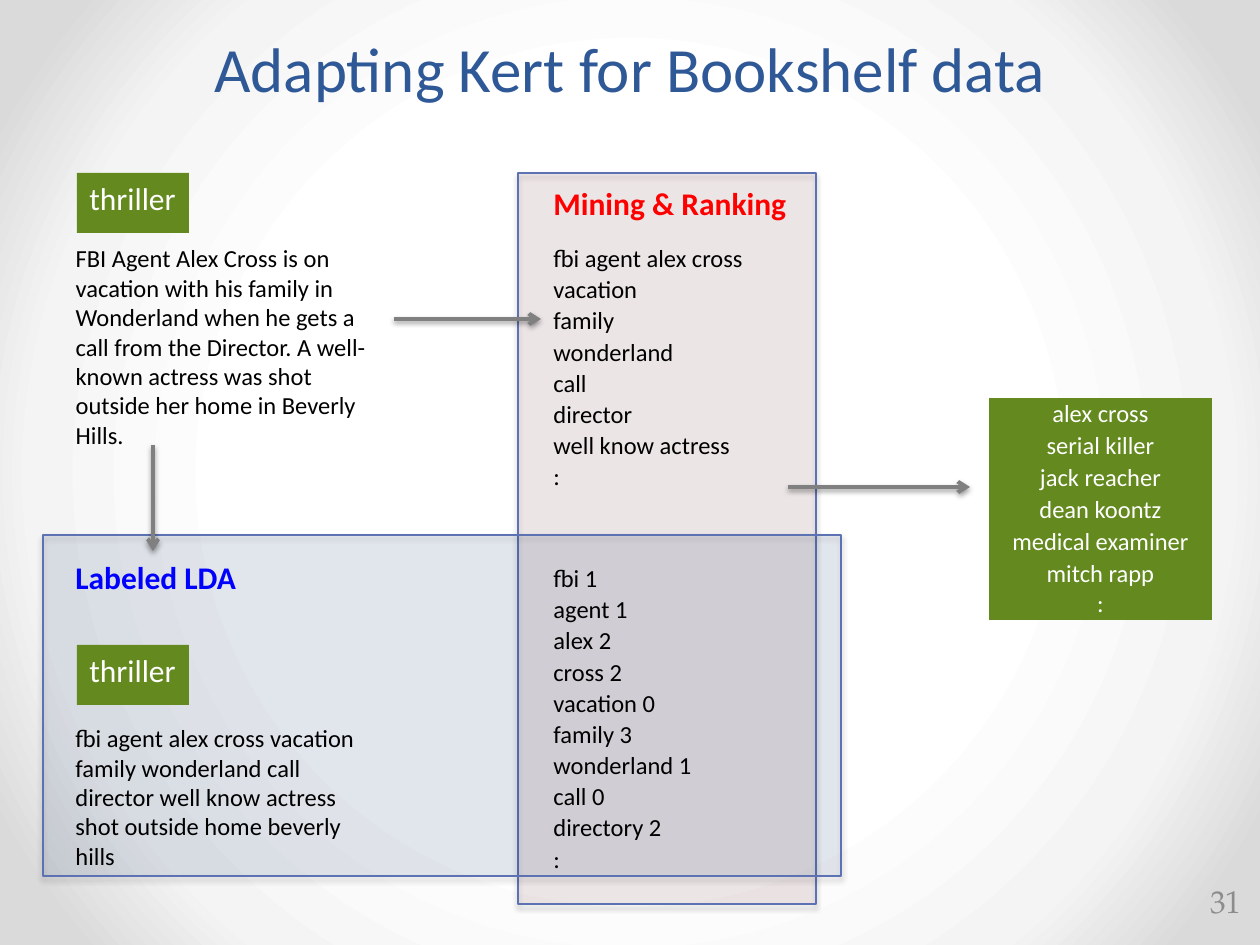
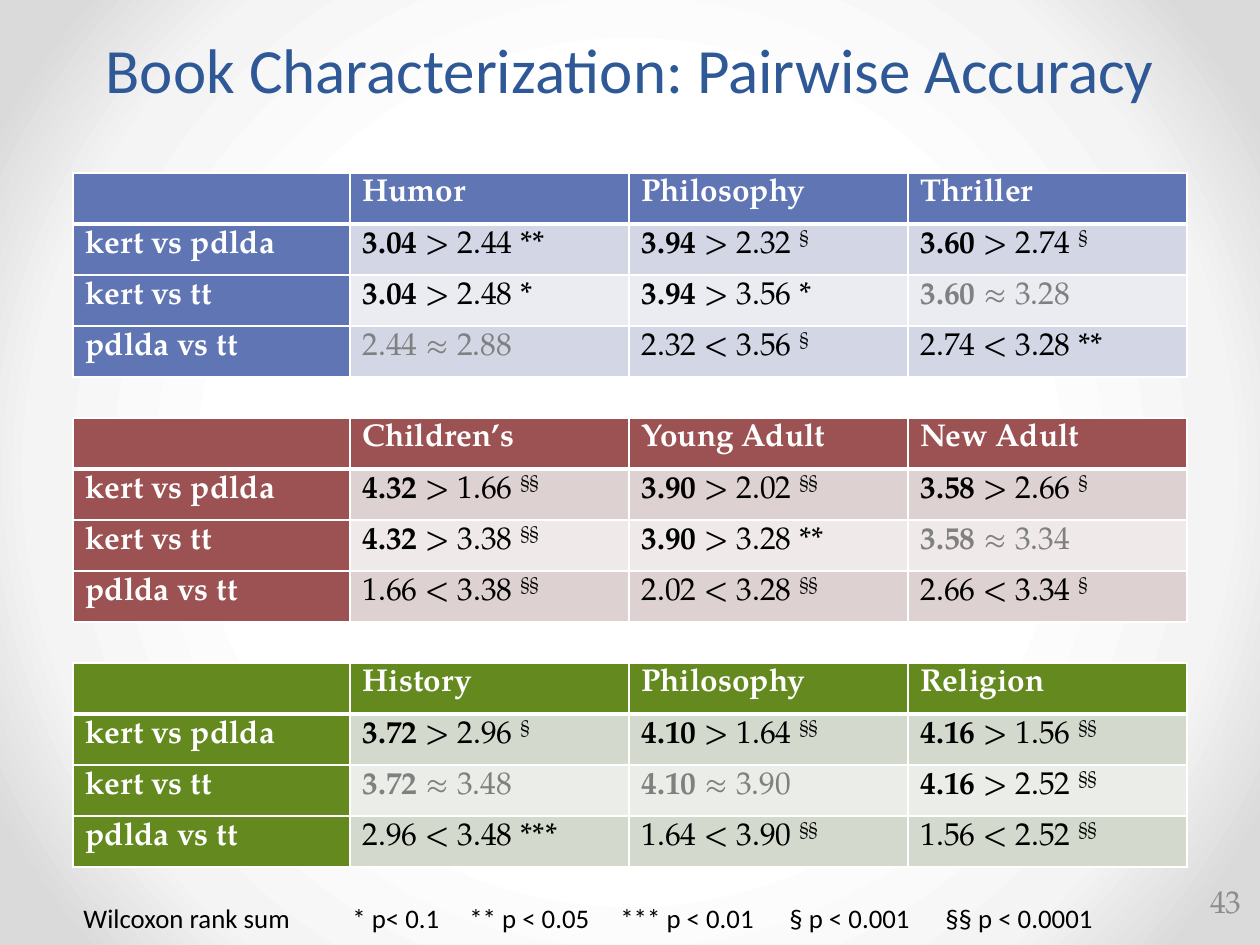
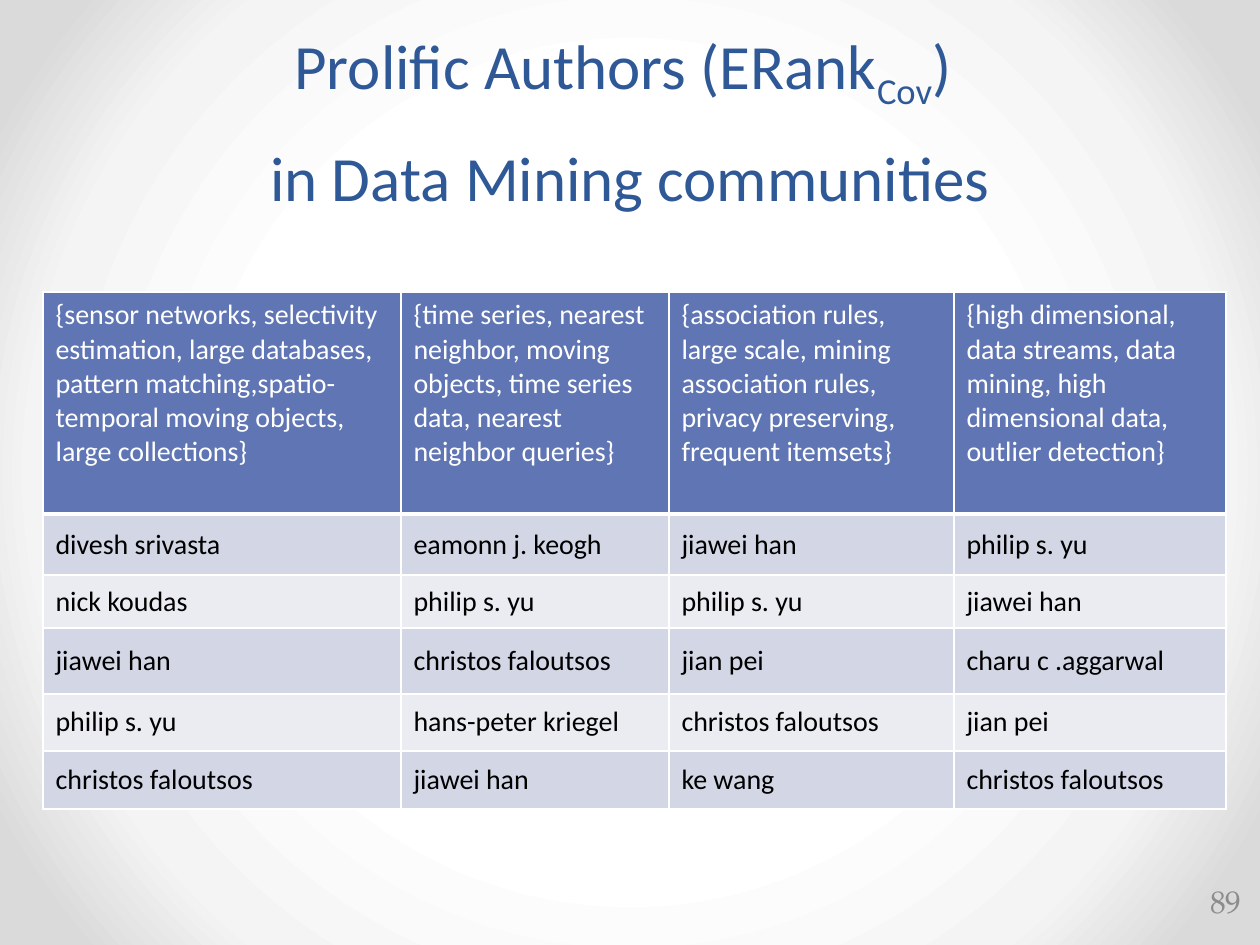
from pptx import Presentation
from pptx.dml.color import RGBColor
from pptx.enum.shapes import MSO_CONNECTOR, MSO_SHAPE
from pptx.enum.text import MSO_ANCHOR as ANCHOR, MSO_AUTO_SIZE, PP_ALIGN as ALIGN
from pptx.oxml import parse_xml
from pptx.oxml.ns import nsdecls, qn
from pptx.util import Pt

PX = 914400 / 126
SANS, SERIF = "Calibri", "TeX Gyre Pagella"
NO_STYLE = "{2D5ABB26-0587-4C30-8999-92F81FD0307C}"
COLORS = {
    "title": "2F5897", "black": "000000", "white": "FFFFFF", "number": "8C8C8C",
    "gray": "808080", "edge": "5C72B2", "red": "FF0000", "label": "0000FF",
    "blue": "6076B4", "blue_dark": "D2D6E5", "blue_light": "EAECF2",
    "maroon": "9C5252", "maroon_dark": "DED1D1", "maroon_light": "EFE9E9",
    "green": "63891F", "green_dark": "D3DACD", "green_light": "EAEDE8",
}
BACKDROP = [(50, "FFFFFF"), (76, "F4F4F4"), (92, "DADADA")]

# Slide 1
BLURB = ("FBI Agent Alex Cross is on vacation with his family in Wonderland when he gets "
         "a call from the Director. A well-known actress was shot outside her home in "
         "Beverly Hills.")
WORDS = ("fbi agent alex cross vacation family wonderland call director well know actress "
         "shot outside home beverly hills")
PHRASES = ["fbi agent alex cross", "vacation", "family", "wonderland", "call", "director",
           "well know actress", ":"]
TOPICS = ["fbi 1", "agent 1", "alex 2", "cross 2", "vacation 0", "family 3",
          "wonderland 1", "call 0", "directory 2", ":"]
RESULTS = ["alex cross", "serial killer", "jack reacher", "dean koontz",
           "medical examiner", "mitch rapp\n:"]

# Slide 2
PAIRS = ["kert vs pdlda", "kert vs tt", "pdlda vs tt"]
ACCURACY = [
    ("blue", ["Humor", "Philosophy", "Thriller"], [
        ["3.04 > 2.44 **", "3.94 > 2.32 §", "3.60 > 2.74 §"],
        ["3.04 > 2.48 *", "3.94 > 3.56 *", "3.60 ≈ 3.28"],
        ["2.44 ≈ 2.88", "2.32 < 3.56 §", "2.74 < 3.28 **"]]),
    ("maroon", ["Children’s", "Young Adult", "New Adult"], [
        ["4.32 > 1.66 §§", "3.90 > 2.02 §§", "3.58 > 2.66 §"],
        ["4.32 > 3.38 §§", "3.90 > 3.28 **", "3.58 ≈ 3.34"],
        ["1.66 < 3.38 §§", "2.02 < 3.28 §§", "2.66 < 3.34 §"]]),
    ("green", ["History", "Philosophy", "Religion"], [
        ["3.72 > 2.96 §", "4.10 > 1.64 §§", "4.16 > 1.56 §§"],
        ["3.72 ≈ 3.48", "4.10 ≈ 3.90", "4.16 > 2.52 §§"],
        ["2.96 < 3.48 ***", "1.64 < 3.90 §§", "1.56 < 2.52 §§"]]),
]
LEGEND = ["Wilcoxon rank sum", "* p< 0.1", "** p < 0.05", "*** p < 0.01",
          "§ p < 0.001", "§§ p < 0.0001"]
LEGEND_TABS = [269, 386, 537, 706, 862]

# Slide 3
COMMUNITIES = [
    "{sensor networks, selectivity estimation, large databases, pattern matching,spatio- "
    "temporal moving objects, large collections}",
    "{time series, nearest neighbor, moving objects, time series data, nearest neighbor "
    "queries}",
    "{association rules, large scale, mining association rules, privacy preserving, "
    "frequent itemsets}",
    "{high dimensional, data streams, data mining, high dimensional data, outlier "
    "detection}",
]
AUTHORS = [
    ["divesh srivasta", "eamonn j. keogh", "jiawei han", "philip s. yu"],
    ["nick koudas", "philip s. yu", "philip s. yu", "jiawei han"],
    ["jiawei han", "christos faloutsos", "jian pei", "charu c .aggarwal"],
    ["philip s. yu", "hans-peter kriegel", "christos faloutsos", "jian pei"],
    ["christos faloutsos", "jiawei han", "ke wang", "christos faloutsos"],
]


def emu(*lengths):
    return [round(length * PX) for length in lengths]


def rgb(color):
    return RGBColor.from_string(COLORS[color])


def place(shape, box):
    shape.left, shape.top, shape.width, shape.height = emu(*box)


def add_run(paragraph, text, size, color, font=SANS, bold=False, baseline=0):
    run = paragraph.add_run()
    run.text = text
    run.font.size, run.font.name, run.font.bold = Pt(size), font, bold
    run.font.color.rgb = rgb(color)
    if baseline:
        run._r.get_or_add_rPr().set("baseline", str(baseline * 1000))


def set_frame(frame, anchor=ANCHOR.TOP, wrap=True):
    frame.auto_size = MSO_AUTO_SIZE.NONE
    frame.word_wrap = wrap
    frame.vertical_anchor = anchor


def fill_lines(frame, lines, size, color, align=ALIGN.LEFT, gap=0, **style):
    for i, line in enumerate(lines):
        paragraph = frame.add_paragraph() if i else frame.paragraphs[0]
        paragraph.alignment = align
        paragraph.space_before = Pt(gap if i else 0)
        add_run(paragraph, line, size, color, **style)


def add_text(slide, box, lines, size=14, color="black", anchor=ANCHOR.TOP, **style):
    frame = slide.shapes.add_textbox(*emu(*box)).text_frame
    set_frame(frame, anchor)
    fill_lines(frame, lines, size, color, **style)
    return frame


# Shared slide parts
def set_backdrop(master):
    master.background.fill.solid()
    properties = master.element.find(".//" + qn("p:bgPr"))
    stops = "".join(f'<a:gs pos="{pos * 1000}"><a:srgbClr val="{color}"/></a:gs>'
                    for pos, color in BACKDROP)
    properties.replace(properties[0], parse_xml(
        f'<a:gradFill {nsdecls("a")} rotWithShape="1"><a:gsLst>{stops}</a:gsLst>'
        '<a:path path="circle"><a:fillToRect l="50000" t="50000" r="50000" b="50000"/>'
        '</a:path></a:gradFill>'))


def start_slide(prs, layout, title_box, number, spacing=Pt(58)):
    slide = prs.slides.add_slide(prs.slide_layouts[layout])
    place(slide.shapes.title, title_box)
    frame = slide.shapes.title.text_frame
    set_frame(frame, ANCHOR.BOTTOM)
    title = frame.paragraphs[0]
    title.alignment, title.line_spacing = ALIGN.CENTER, spacing
    add_text(slide, (1177, 876, 77, 50), [number], 18, "number", ANCHOR.MIDDLE,
             align=ALIGN.RIGHT, font=SERIF)
    return slide, title


# Diagram parts
def add_shadow(shape, alpha, dist):
    shape.element.spPr.append(parse_xml(
        f'<a:effectLst {nsdecls("a")}><a:outerShdw blurRad="{Pt(3.1)}" dist="{Pt(dist)}" '
        'dir="5400000" rotWithShape="0"><a:srgbClr val="000000">'
        f'<a:alpha val="{alpha * 1000}"/></a:srgbClr></a:outerShdw></a:effectLst>'))


def add_stage(slide, box, color):
    stage = slide.shapes.add_shape(MSO_SHAPE.RECTANGLE, *emu(*box))
    stage.fill.solid()
    stage.fill.fore_color.rgb = rgb(color)
    tint = stage.element.spPr.find(qn("a:solidFill"))[0]
    tint.append(parse_xml(f'<a:alpha {nsdecls("a")} val="10000"/>'))
    stage.line.color.rgb = rgb("edge")
    stage.line.width = Pt(0.75)
    add_shadow(stage, 35, 1.8)


def add_tag(slide, box, text):
    tag = slide.shapes.add_shape(MSO_SHAPE.RECTANGLE, *emu(*box))
    tag.shadow.inherit = False
    tag.fill.solid()
    tag.fill.fore_color.rgb = rgb("green")
    tag.line.fill.background()
    set_frame(tag.text_frame, wrap=False)
    fill_lines(tag.text_frame, [text], 18, "white")


def add_arrow(slide, *ends):
    arrow = slide.shapes.add_connector(MSO_CONNECTOR.STRAIGHT, *emu(*ends))
    arrow.line.color.rgb = rgb("gray")
    arrow.line.width = Pt(2.25)
    arrow.element.spPr.find(qn("a:ln")).append(
        parse_xml(f'<a:tailEnd {nsdecls("a")} type="arrow"/>'))
    add_shadow(arrow, 38, 1.6)


# Table parts
def add_grid(slide, left, top, widths, heights):
    frame = slide.shapes.add_table(len(heights), len(widths),
                                   *emu(left, top, sum(widths), sum(heights)))
    table = frame.table
    table.first_row = table.horz_banding = False
    table._tbl.tblPr.find(qn("a:tableStyleId")).text = NO_STYLE
    for column, width in zip(table.columns, emu(*widths)):
        column.width = width
    for row, height in zip(table.rows, emu(*heights)):
        row.height = height
    return table


def paint_cell(cell, color):
    cell.fill.solid()
    cell.fill.fore_color.rgb = rgb(color)


def rule_cell(cell, row):
    widths = {"L": 1, "R": 1, "T": 3 if row == 1 else 1, "B": 3 if row == 0 else 1}
    properties = cell._tc.get_or_add_tcPr()
    for i, (side, width) in enumerate(widths.items()):
        properties.insert(i, parse_xml(
            f'<a:ln{side} {nsdecls("a")} w="{Pt(width)}"><a:solidFill>'
            f'<a:srgbClr val="{COLORS["white"]}"/></a:solidFill></a:ln{side}>'))


def band_table(table, theme, label_column):
    for r, row in enumerate(table.rows):
        for c, cell in enumerate(row.cells):
            heading = r == 0 or (label_column and c == 0)
            paint_cell(cell, theme if heading else theme + ("_dark" if r % 2 else "_light"))
            rule_cell(cell, r)


def add_score(cell, score, kert_first):
    first, sign, second, *mark = score.split()
    color = "gray" if sign == "≈" else "black"
    paragraph = cell.text_frame.paragraphs[0]
    add_run(paragraph, first, 18, color, SERIF, bold=kert_first)
    add_run(paragraph, f" {sign} {second}" + (" " if mark else ""), 18, color, SERIF)
    if mark:
        add_run(paragraph, mark[0], 18, color, SERIF,
                baseline=30 if mark[0].startswith("§") else 0)


def add_accuracy_table(slide, top, theme, genres, scores):
    table = add_grid(slide, 73, top, [277, 279, 279, 279], [51] * 4)
    band_table(table, theme, label_column=True)
    for c, genre in enumerate(genres, 1):
        fill_lines(table.cell(0, c).text_frame, [genre], 18, "white", font=SERIF, bold=True)
    for r, (pair, row) in enumerate(zip(PAIRS, scores), 1):
        fill_lines(table.cell(r, 0).text_frame, [pair], 18, "white", font=SERIF, bold=True)
        for c, score in enumerate(row, 1):
            add_score(table.cell(r, c), score, pair.startswith("kert"))


# Slides
def build_pipeline(prs):
    slide, title = start_slide(prs, 1, (63, -15, 1134, 126), "31")
    add_run(title, "Adapting Kert for Bookshelf data", 36, "title")
    add_stage(slide, (518, 173, 298, 731), "maroon")
    add_stage(slide, (43, 535, 798, 341), "title")

    blurb = slide.placeholders[1]
    place(blurb, (63, 237, 331, 214))
    set_frame(blurb.text_frame)
    properties = blurb.text_frame.paragraphs[0]._p.get_or_add_pPr()
    properties.set("marL", "0")
    properties.set("indent", "0")
    properties.append(parse_xml(f'<a:buNone {nsdecls("a")}/>'))
    fill_lines(blurb.text_frame, [BLURB], 14, "black")

    add_text(slide, (63, 717, 307, 155), [WORDS])
    for top in (173, 645):
        add_tag(slide, (77, top, 112, 60), "thriller")
    add_text(slide, (63, 552, 203, 59), ["Labeled LDA"], 18, "label", bold=True)
    add_text(slide, (541, 237, 221, 277), PHRASES, gap=1)
    add_text(slide, (541, 557, 221, 335), TOPICS, gap=1)
    add_text(slide, (541, 178, 276, 117), ["Mining & Ranking"], 18, "red", bold=True)

    ranking = add_grid(slide, 989, 398, [223], [32] * 5 + [62])
    for r, result in enumerate(RESULTS):
        cell = ranking.cell(r, 0)
        paint_cell(cell, "green")
        cell.margin_top, cell.margin_bottom = emu(1, 1)
        fill_lines(cell.text_frame, result.split("\n"), 14, "white", ALIGN.CENTER)

    add_arrow(slide, 394, 319, 541, 319)
    add_arrow(slide, 153, 445, 153, 551)
    add_arrow(slide, 788, 487, 970, 487)


def build_accuracy(prs):
    slide, title = start_slide(prs, 5, (63, 0, 1134, 112), "43", 1.2)
    add_run(title, "Book Characterization: Pairwise Accuracy", 36, "title")
    for i, (theme, genres, scores) in enumerate(ACCURACY):
        add_accuracy_table(slide, 173 + 245 * i, theme, genres, scores)
    legend = add_text(slide, (71, 896, 1114, 49), ["\t".join(LEGEND)], 15.3)
    stops = "".join(f'<a:tab pos="{pos}" algn="l"/>' for pos in emu(*LEGEND_TABS))
    legend.paragraphs[0]._p.get_or_add_pPr().append(
        parse_xml(f'<a:tabLst {nsdecls("a")}>{stops}</a:tabLst>'))


def build_authors(prs):
    slide, title = start_slide(prs, 5, (63, 0, 1134, 220), "89")
    add_run(title, "Prolific Authors (ERank", 36, "title")
    add_run(title, "Cov", 36, "title", baseline=-25)
    add_run(title, ") ", 36, "title")
    title.add_line_break()
    add_run(title, "in Data Mining communities", 36, "title")

    table = add_grid(slide, 43, 292, [358, 268, 285, 272], [222, 61, 53, 66, 57, 58])
    band_table(table, "blue", label_column=False)
    for r, row in enumerate([COMMUNITIES] + AUTHORS):
        for c, text in enumerate(row):
            cell = table.cell(r, c)
            cell.vertical_anchor = ANCHOR.MIDDLE if r else ANCHOR.TOP
            fill_lines(cell.text_frame, [text], 16, "black" if r else "white")


def main():
    prs = Presentation()
    prs.slide_width, prs.slide_height = emu(1260, 945)
    set_backdrop(prs.slide_master)
    build_pipeline(prs)
    build_accuracy(prs)
    build_authors(prs)
    prs.save("out.pptx")


if __name__ == "__main__":
    main()
